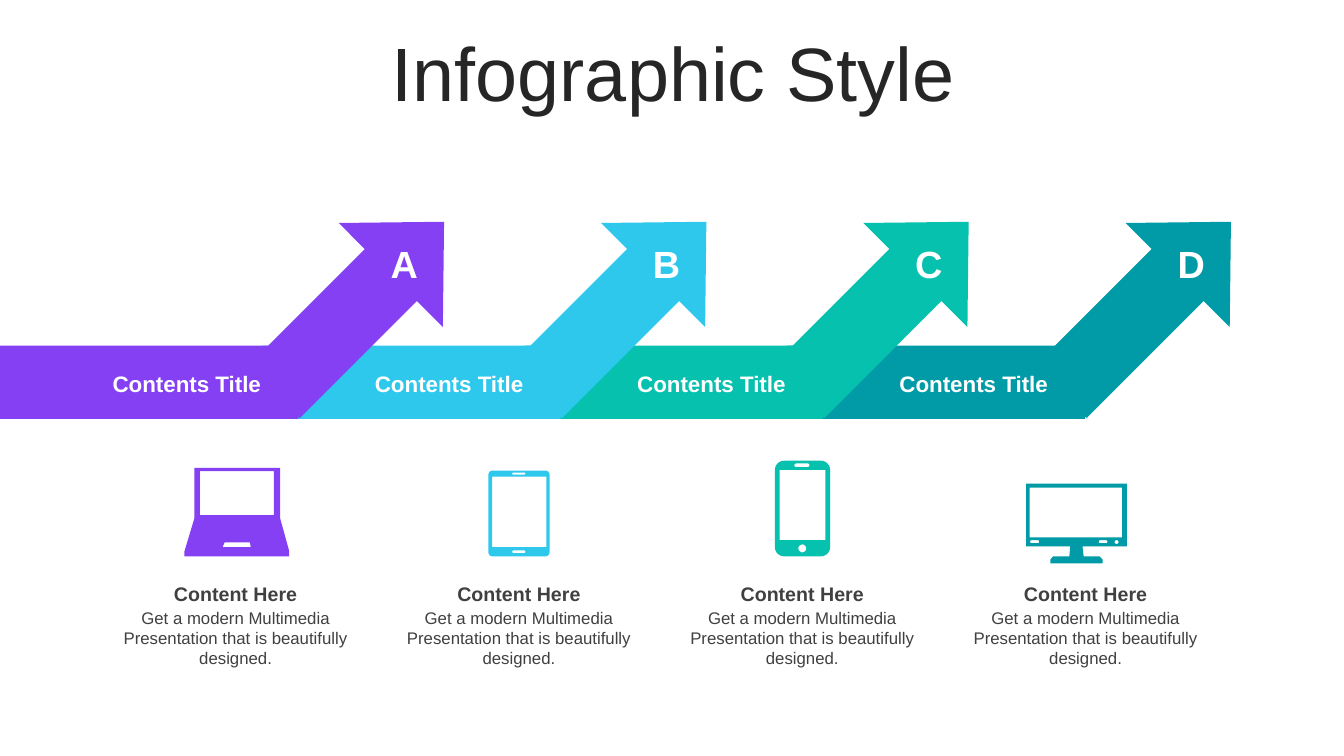
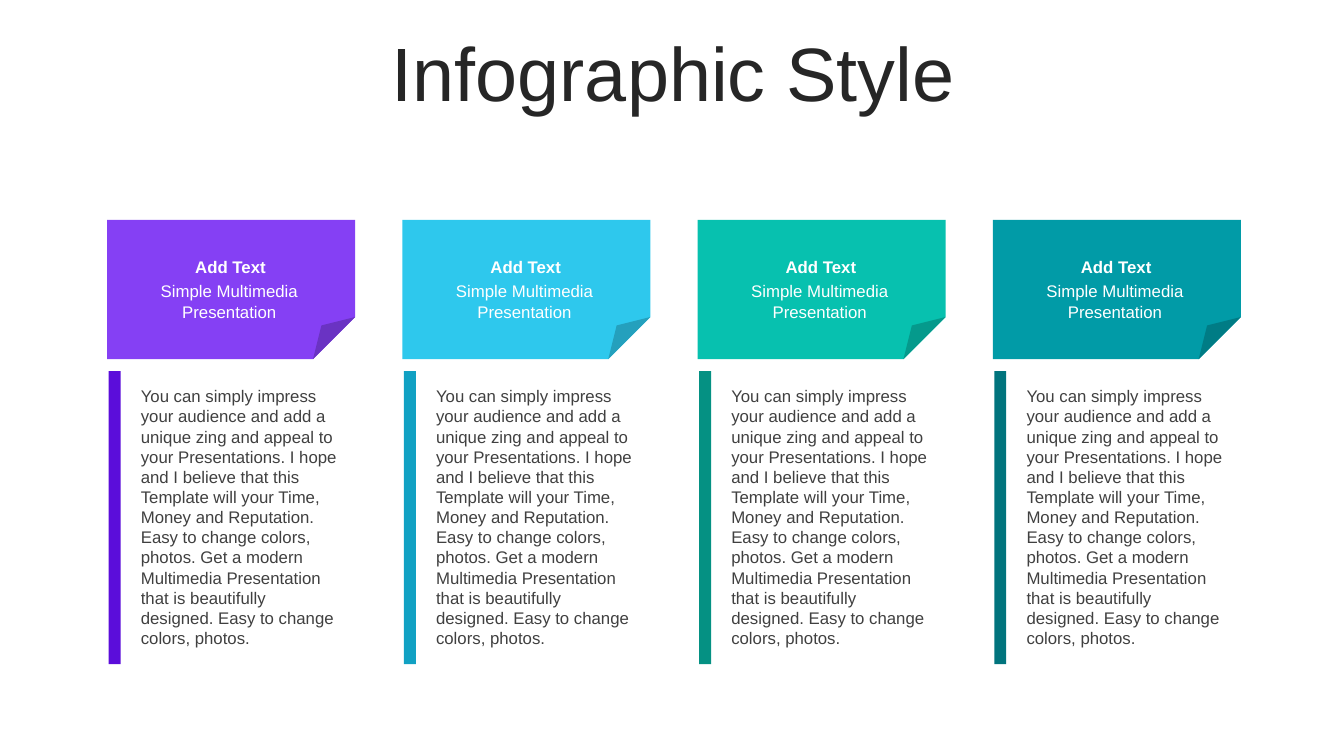
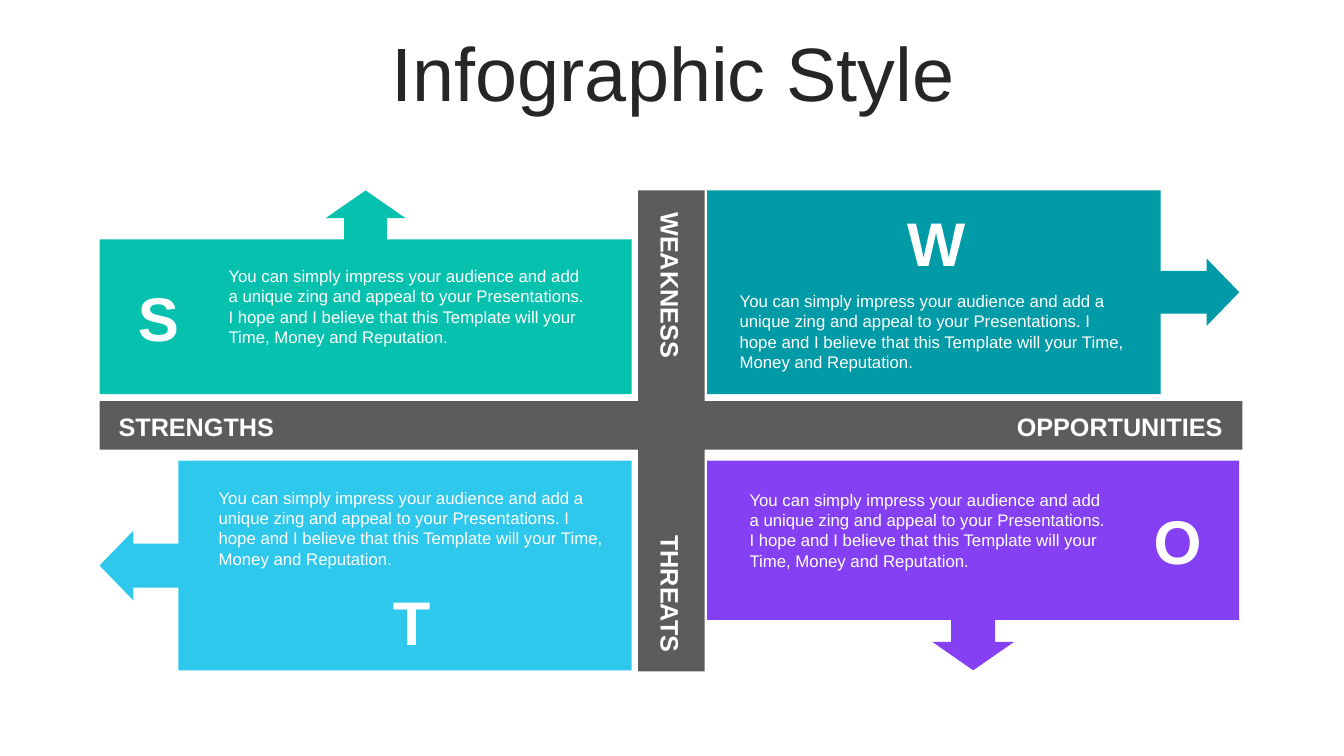
import math
from dataclasses import dataclass, field

from lxml import etree
from pptx import Presentation
from pptx.dml.color import RGBColor
from pptx.enum import shapes as kinds, text as txt
from pptx.oxml.ns import qn
from pptx.util import Cm, Pt

KIND, ALIGN, ANCHOR = kinds.MSO_SHAPE, txt.PP_ALIGN, txt.MSO_ANCHOR


@dataclass(frozen=True)
class Theme:
    font: str = "Arial"
    purple: str = "8540F4"
    sky: str = "2EC8ED"
    mint: str = "07C1AF"
    teal: str = "019BA7"
    deep: tuple = ("5B0DDA", "11A1C3", "059183", "01747D")
    ink: str = "262626"
    body: str = "404040"
    white: str = "FFFFFF"
    grey: str = "5C5C5C"
    styles: dict = field(default_factory=lambda: {
        "title": {"size": Pt(54), "bold": False},
        "initial": {"size": Pt(44), "bold": True},
        "letter": {"size": Pt(27), "bold": True},
        "axis": {"size": Pt(18), "bold": True},
        "band": {"size": Pt(16), "bold": True},
        "heading": {"size": Pt(14), "bold": True},
        "label": {"size": Pt(12), "bold": True},
        "text": {"size": Pt(12), "bold": False},
    })


THEME = Theme()
COLOURS = (THEME.purple, THEME.sky, THEME.mint, THEME.teal)

# Content. All lengths are centimetres.
TITLE = "Infographic Style"

# A contour is a list of points, or a box (left, top, right, bottom, corner radius).
LAPTOP = [
    [(4.9, 11.79), (7.06, 11.79), (7.06, 13.06), (7.29, 13.89),
     (7.29, 14.02), (4.65, 14.02), (4.65, 13.89), (4.9, 13.06)],
    (5.04, 11.87, 6.9, 12.98, 0),
    [(5.66, 13.67), (5.61, 13.79), (6.32, 13.79), (6.3, 13.67)],
]
TABLET = [
    (12.31, 11.86, 13.85, 14.02, 0.1),
    (12.4, 12.01, 13.77, 13.79, 0),
    (12.91, 13.87, 13.24, 13.94, 0.03),
    (12.91, 11.91, 13.24, 11.96, 0.02),
]
PHONE = [
    (19.53, 11.61, 20.92, 14.02, 0.23),
    (19.65, 11.84, 20.8, 13.61, 0),
    (20.12, 13.72, 20.32, 13.92, 0.1),
    (20.02, 11.68, 20.4, 11.77, 0.04),
]
MONITOR = [
    [(25.86, 12.19), (28.4, 12.19), (28.4, 13.77), (27.28, 13.77),
     (27.31, 14.02), (27.71, 14.02), (27.79, 14.1), (27.79, 14.2),
     (26.47, 14.2), (26.47, 14.1), (26.54, 14.02), (26.95, 14.02),
     (26.97, 13.77), (25.86, 13.77)],
    (25.95, 12.29, 28.28, 13.54, 0),
    (25.96, 13.61, 26.19, 13.69, 0.04),
    (27.69, 13.61, 27.91, 13.69, 0.04),
    (28.09, 13.61, 28.19, 13.71, 0.05),
]
STEPS = list(zip("ABCD", COLOURS, (LAPTOP, TABLET, PHONE, MONITOR)))
STEP_BAND = "Contents Title"
STEP_HEADING = "Content Here"
STEP_TEXT = "Get a modern Multimedia Presentation that is beautifully designed."

CARD_LABEL = "Add Text"
CARD_SUBTITLE = "Simple Multimedia Presentation"
CARD_TEXT = (
    "You can simply impress your audience and add a unique zing and appeal to your "
    "Presentations. I hope and I believe that this Template will your Time, Money and "
    "Reputation. Easy to change colors, photos. Get a modern Multimedia Presentation "
    "that is beautifully designed. Easy to change colors, photos.")

SWOT_TEXT = (
    "You can simply impress your audience and add a unique zing and appeal to your "
    "Presentations. I hope and I believe that this Template will your Time, Money and "
    "Reputation.")
LEFT, RIGHT, CALLOUT_W = 2.51, 17.82, 13.41
UPPER, LOWER = (4.8, 5.13), (11.61, 5.28)  # top, height
# Callout proportions in thousandths of a percent
LONG_HEAD, SHORT_HEAD = (21000, 19600, 13600, 75900), (21000, 16600, 16100, 85200)
# initial, colour, column, row, turn, adjustments, text box, initial's corner
SWOT = [
    ("S", THEME.mint, LEFT, UPPER, 0, LONG_HEAD, (5.51, 6.58, 9.5, 2.31), (3.12, 6.93)),
    ("W", THEME.teal, RIGHT, UPPER, 90, SHORT_HEAD, (18.39, 7.21, 10.21, 2.31), (22.61, 5.05)),
    ("O", THEME.purple, RIGHT, LOWER, 180, LONG_HEAD, (18.64, 12.22, 9.5, 2.31), (28.8, 12.55)),
    ("T", THEME.sky, LEFT, LOWER, 270, SHORT_HEAD, (5.26, 12.17, 10.21, 2.31), (9.5, 14.58)),
]
AXES = [(16.08, 4.8, 1.68, 12.12), (LEFT, 10.11, 28.8, 1.22)]
AXIS_LABELS = [
    ("STRENGTHS", (2.74, 10.24, 5.21, 1.02), 0, ALIGN.LEFT),
    ("WEAKNESS", (16.39, 5.1, 1.02, 4.83), 90, ALIGN.LEFT),
    ("OPPORTUNITIES", (24.51, 10.24, 6.55, 1.02), 0, ALIGN.RIGHT),
    ("THREATS", (16.39, 12.37, 1.02, 4.32), 90, ALIGN.RIGHT),
]


def set_all(target, values):
    for name, value in values.items():
        setattr(target, name, value)


def turned_frame(frame, turn):
    """Unrotated frame that fills the given visible frame after a quarter turn."""
    left, top, width, height = frame
    if turn % 180 == 90:
        left, top = left + (width - height) / 2, top + (height - width) / 2
        width, height = height, width
    return [Cm(v) for v in (left, top, width, height)]


def paint(shape, colour):
    shape.shadow.inherit = False
    shape.fill.solid()
    shape.fill.fore_color.rgb = RGBColor.from_string(colour)
    shape.line.fill.background()


def adjust(shape, values):
    """Write every guide, as some presets list none in python-pptx."""
    geometry = shape.element.spPr.find(qn("a:prstGeom"))
    for old in geometry.findall(qn("a:avLst")):
        geometry.remove(old)
    guides = etree.SubElement(geometry, qn("a:avLst"))
    for i, value in enumerate(values, 1):
        name = f"adj{i}" if len(values) > 1 else "adj"
        etree.SubElement(guides, qn("a:gd"), name=name, fmla=f"val {value}")


def add_block(slide, kind, frame, colour, turn=0, adjustments=()):
    block = slide.shapes.add_shape(kind, *turned_frame(frame, turn))
    block.rotation = turn
    if adjustments:
        adjust(block, adjustments)
    paint(block, colour)


def write(frame, words, style, colour, align):
    paragraph = frame.paragraphs[0]
    paragraph.text = words
    paragraph.alignment = align
    set_all(paragraph.font, {"name": THEME.font, **THEME.styles[style]})
    paragraph.font.color.rgb = RGBColor.from_string(colour)
    return paragraph


def add_text(slide, frame, words, style, colour=THEME.white, align=ALIGN.CENTER,
             turn=0, anchor=ANCHOR.TOP):
    box = slide.shapes.add_textbox(*turned_frame(frame, turn))
    box.rotation = turn
    set_all(box.text_frame, {"word_wrap": True, "vertical_anchor": anchor})
    write(box.text_frame, words, style, colour, align)


def contour_points(contour):
    if isinstance(contour, list):
        return contour
    left, top, right, bottom, radius = contour
    centres = [(right - radius, bottom - radius), (left + radius, bottom - radius),
               (left + radius, top + radius), (right - radius, top + radius)]
    angles = range(0, 91, 15) if radius else (0,)
    return [(x + radius * math.cos(math.radians(90 * i + a)),
             y + radius * math.sin(math.radians(90 * i + a)))
            for i, (x, y) in enumerate(centres) for a in angles]


def add_icon(slide, contours, colour):
    """One outline whose inner contours are cut out as holes."""
    outlines = [[(Cm(x), Cm(y)) for x, y in contour_points(c)] for c in contours]
    builder = slide.shapes.build_freeform(*outlines[0][0])
    for i, (first, *rest) in enumerate(outlines):
        if i:
            builder.move_to(*first)
        builder.add_line_segments(rest, close=True)
    paint(builder.convert_to_shape(), colour)


def add_slide(deck):
    slide = deck.slides.add_slide(deck.slide_layouts[5])
    title = slide.shapes.title
    set_all(title, dict(zip(("left", "top", "width", "height"),
                            map(Cm, (0.89, 0.94, 32.16, 2.01)))))
    set_all(title.text_frame, {"auto_size": txt.MSO_AUTO_SIZE.NONE, "word_wrap": True,
                               "vertical_anchor": ANCHOR.MIDDLE})
    write(title.text_frame, TITLE, "title", THEME.ink, ALIGN.CENTER).line_spacing = 0.9
    return slide


def build_steps(slide):
    pitch, column_pitch = 6.61, 7.14
    for i, (_, colour, _) in reversed(list(enumerate(STEPS))):
        add_block(slide, KIND.UP_ARROW, (7.19 + i * pitch, 4.7, 3.71, 6.07), colour,
                  45, (50000, 51200))
        add_block(slide, KIND.RECTANGLE, (i * pitch, 8.71, 7.52, 1.85), colour)
    for i, (letter, colour, icon) in enumerate(STEPS):
        column = 2.64 + i * column_pitch
        add_text(slide, (2.56 + i * pitch, 9.19, 4.3, 0.94), STEP_BAND, "band")
        add_text(slide, (column, 14.53, 6.6, 0.86), STEP_HEADING, "heading",
                 THEME.body, anchor=ANCHOR.MIDDLE)
        add_text(slide, (column, 15.19, 6.6, 1.8), STEP_TEXT, "text", THEME.body)
        add_icon(slide, icon, colour)
        add_text(slide, (9.25 + i * pitch, 5.94, 1.88, 1.42), letter, "letter")


def build_cards(slide):
    for i, (colour, deep) in enumerate(zip(COLOURS, THEME.deep)):
        left = 2.7 + i * 7.44
        add_block(slide, KIND.FOLDED_CORNER, (left, 5.54, 6.25, 3.51), colour,
                  adjustments=(30200,))
        add_text(slide, (left + 0.53, 6.35, 5.16, 0.76), CARD_LABEL, "label")
        add_text(slide, (left + 0.5, 6.96, 5.16, 1.27), CARD_SUBTITLE, "text")
        add_text(slide, (left + 0.6, 9.6, 5.56, 6.93), CARD_TEXT, "text", THEME.body,
                 ALIGN.LEFT)
        add_block(slide, KIND.RECTANGLE, (left + 0.04, 9.35, 0.3, 7.39), deep)


def build_swot(slide):
    for frame in AXES:
        add_block(slide, KIND.RECTANGLE, frame, THEME.grey)
    for initial, colour, left, (top, height), turn, head, text_frame, corner in SWOT:
        add_block(slide, KIND.UP_ARROW_CALLOUT, (left, top, CALLOUT_W, height), colour,
                  turn, head)
        add_text(slide, text_frame, SWOT_TEXT, "text", align=ALIGN.LEFT)
        add_text(slide, (*corner, 1.75, 2.13), initial, "initial")
    for words, frame, turn, align in AXIS_LABELS:
        add_text(slide, frame, words, "axis", align=align, turn=turn)


def main():
    deck = Presentation()
    set_all(deck, {"slide_width": Cm(33.87), "slide_height": Cm(19.05)})
    for build in (build_steps, build_cards, build_swot):
        build(add_slide(deck))
    deck.save("out.pptx")


if __name__ == "__main__":
    main()
